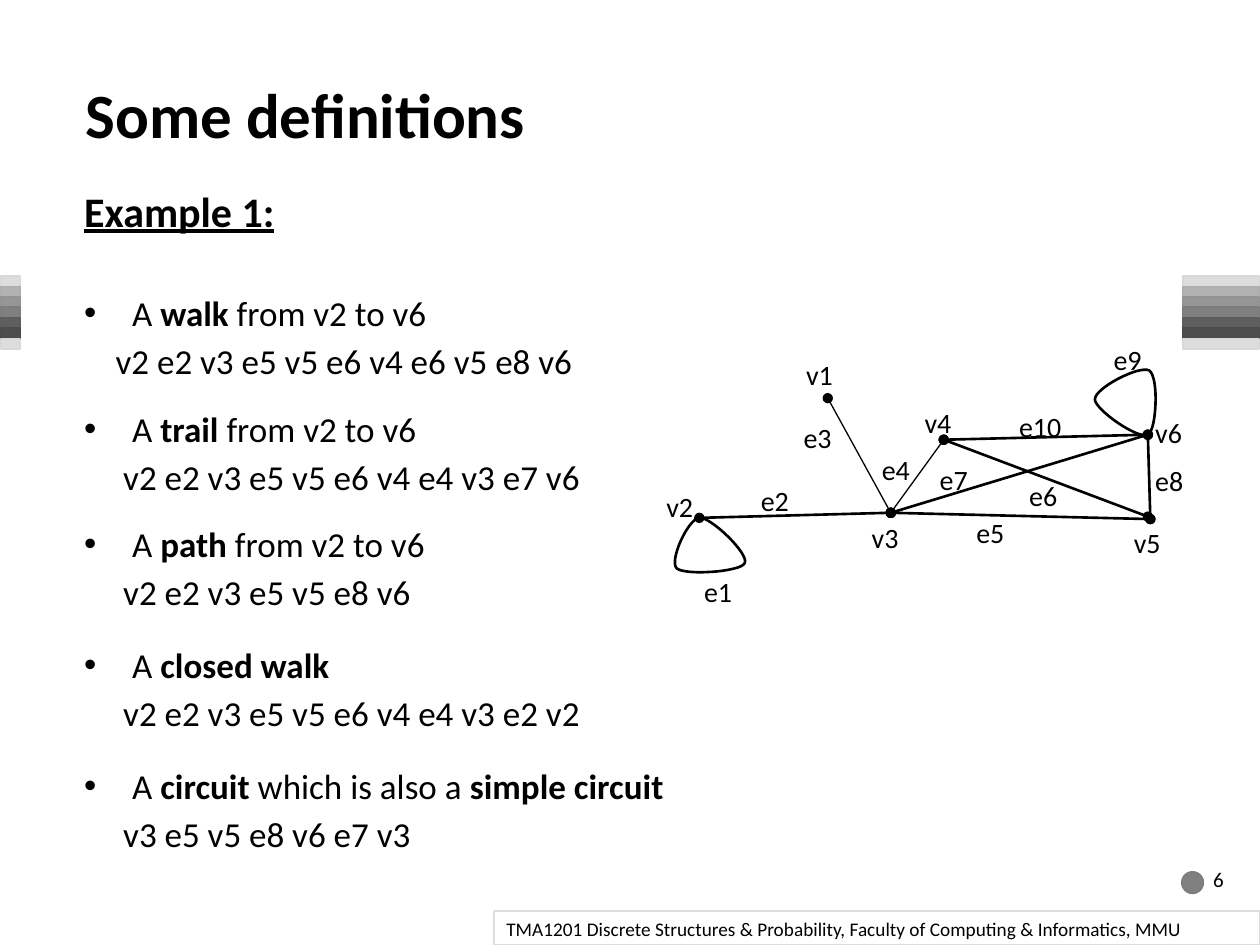
from dataclasses import dataclass

from lxml.etree import SubElement
from pptx import Presentation
from pptx.dml.color import RGBColor
from pptx.enum.shapes import MSO_CONNECTOR, MSO_SHAPE
from pptx.enum.text import MSO_ANCHOR, MSO_AUTO_SIZE, PP_ALIGN
from pptx.oxml.ns import qn
from pptx.util import Inches, Pt

COLUMNS, ROWS = 100, 75
WIDTH, HEIGHT = Inches(10), Inches(7.5)


@dataclass(frozen=True)
class Theme:
    font: str = "Calibri"
    ink: str = "000000"
    paper: str = "FFFFFF"
    dot: str = "808080"
    border: str = "DDDDDD"
    stripes: tuple = ("DDDDDD", "B2B2B2", "969696", "808080", "5F5F5F", "4D4D4D", "DDDDDD")
    title: int = 36
    heading: int = 24
    body: int = 20
    label: int = 16
    number: int = 12
    footer: int = 11
    thin: float = 0.75
    thick: float = 1.5


THEME = Theme()

VERTICES = {
    "v1": (65.7, 31.6), "v2": (55.5, 41.1), "v3": (70.7, 40.7),
    "v4": (74.9, 34.9), "v5": (91.3, 41.2), "v6": (91.1, 34.5),
    "v5 inner": (91.1, 41),
}
EDGES = [
    ("v2", "v3", THEME.thick), ("v1", "v3", THEME.thin), ("v3", "v4", THEME.thin),
    ("v3", "v5", THEME.thick), ("v4", "v5 inner", THEME.thick), ("v3", "v6", THEME.thick),
    ("v6", "v5", THEME.thick), ("v4", "v6", THEME.thick),
]
LOOPS = [
    ("v2", [((54.6, 41.2), (53.1, 44.5), (53.7, 45.1)),
            ((54.3, 45.7), (58.8, 45.4), (59.1, 44.7)),
            ((59.5, 44), (56.4, 41), (55.5, 41.1))]),
    ("v6", [((90.3, 34.9), (86.9, 32.5), (86.9, 31.7)),
            ((86.9, 30.8), (90.4, 29), (91.2, 29.4)),
            ((92, 29.9), (91.8, 34.2), (91.1, 34.5))]),
]
LABELS = {
    "v1": (63, 27.9), "v2": (51.9, 38.4), "v3": (68.2, 40.8),
    "v4": (72.4, 31.7), "v5": (89, 41.2), "v6": (90.7, 32.5),
    "e1": (54.9, 45.1), "e2": (59.4, 37.9), "e3": (62.8, 32.9),
    "e4": (69, 35.4), "e5": (76.5, 40.4), "e6": (80.7, 37.5),
    "e7": (73.6, 36.2), "e8": (90.7, 36.3), "e9": (87.4, 26.7),
    "e10": (79.9, 32),
}
DEFINITIONS = [
    (32, [("A ", False), ("walk", True), (" from v2 to v6", False)],
     2.5, "v2 e2 v3 e5 v5 e6 v4 e6 v5 e8 v6"),
    (14.4, [("A ", False), ("trail", True), (" from v2 to v6", False)],
     3.1, "v2 e2 v3 e5 v5 e6 v4 e4 v3 e7 v6"),
    (14.4, [("A ", False), ("path", True), (" from v2 to v6", False)],
     3.1, "v2 e2 v3 e5 v5 e8 v6"),
    (17.4, [("A ", False), ("closed walk", True)],
     3.1, "v2 e2 v3 e5 v5 e6 v4 e4 v3 e2 v2"),
    (17.4, [("A ", False), ("circuit", True), (" which is also a ", False),
            ("simple circuit", True)],
     3.1, "v3 e5 v5 e8 v6 e7 v3"),
]


def across(columns):
    return round(WIDTH * columns / COLUMNS)


def down(rows):
    return round(HEIGHT * rows / ROWS)


def place(area):
    left, top, width, height = area
    return across(left), down(top), across(width), down(height)


def apply(target, formats):
    for name, value in formats.items():
        setattr(target, name, value)


def add_run(paragraph, text, size, **formats):
    run = paragraph.add_run()
    run.text = text
    apply(run.font, {"name": THEME.font, "size": Pt(size), **formats})
    run.font.color.rgb = RGBColor.from_string(THEME.ink)


def add_text(slide, area, text, size, frame_formats=None, **formats):
    shape = slide.shapes.add_textbox(*place(area))
    apply(shape.text_frame, {"word_wrap": True, **(frame_formats or {})})
    add_run(shape.text_frame.paragraphs[0], text, size, **formats)
    return shape


def add_block(slide, preset, area, fill, line, line_width):
    shape = slide.shapes.add_shape(preset, *place(area))
    shape.shadow.inherit = False
    shape.fill.solid()
    shape.fill.fore_color.rgb = RGBColor.from_string(fill)
    shape.line.color.rgb = RGBColor.from_string(line)
    shape.line.width = Pt(line_width)
    return shape


def darker(colour):
    return "".join(f"{round(part * 0.977):02X}" for part in RGBColor.from_string(colour))


def add_stripes(slide, left, width):
    pitch = 0.83
    for index, colour in enumerate(THEME.stripes):
        area = (left, 21.9 + index * pitch, width, pitch)
        add_block(slide, MSO_SHAPE.RECTANGLE, area, colour, darker(colour), 1)


def indent(paragraph, columns, bullet=None):
    properties = paragraph._p.get_or_add_pPr()
    properties.set("marL", str(across(columns)))
    properties.set("indent", str(-across(columns) if bullet else 0))
    if bullet:
        SubElement(properties, qn("a:buFont")).set("typeface", "Arial")
        SubElement(properties, qn("a:buChar")).set("char", bullet)


def add_definitions(slide):
    frame = add_text(slide, (5.7, 14.2, 48.4, 54.8), "Example 1:", THEME.heading,
                     bold=True, underline=True).text_frame
    for gap, runs, path_indent, walk in DEFINITIONS:
        term = frame.add_paragraph()
        indent(term, 3.8, "•")
        term.space_before = Pt(gap)
        for text, bold in runs:
            add_run(term, text, THEME.body, bold=bold)
        sequence = frame.add_paragraph()
        indent(sequence, path_indent)
        sequence.space_before = Pt(3.6)
        add_run(sequence, walk, THEME.body)


def add_edge(slide, start, end, width):
    (x1, y1), (x2, y2) = VERTICES[start], VERTICES[end]
    edge = slide.shapes.add_connector(MSO_CONNECTOR.STRAIGHT, across(x1), down(y1),
                                      across(x2), down(y2))
    edge.line.color.rgb = RGBColor.from_string(THEME.ink)
    edge.line.width = Pt(width)
    line = edge.line._get_or_add_ln()
    for tag in ("a:headEnd", "a:tailEnd"):
        SubElement(line, qn(tag)).set("type", "oval")
    SubElement(edge._element.spPr, qn("a:effectLst"))


def curve_points(points, steps=16):
    for step in range(1, steps + 1):
        t = step / steps
        weights = ((1 - t) ** 3, 3 * t * (1 - t) ** 2, 3 * t ** 2 * (1 - t), t ** 3)
        x, y = (sum(w * value for w, value in zip(weights, axis)) for axis in zip(*points))
        yield across(x), down(y)


def add_loop(slide, vertex, curves):
    start = VERTICES[vertex]
    builder = slide.shapes.build_freeform(across(start[0]), down(start[1]))
    for curve in curves:
        builder.add_line_segments(list(curve_points((start, *curve))), close=False)
        start = curve[-1]
    builder.add_line_segments([], close=True)
    shape = builder.convert_to_shape()
    shape.shadow.inherit = False
    shape.fill.background()
    shape.line.color.rgb = RGBColor.from_string(THEME.ink)
    shape.line.width = Pt(THEME.thick)


def add_graph(slide):
    for vertex, curves in LOOPS:
        add_loop(slide, vertex, curves)
    for edge in EDGES:
        add_edge(slide, *edge)
    for text, (left, top) in LABELS.items():
        width = 4.6 if len(text) == 2 else 7
        add_text(slide, (left, top, width, 3.7), text, THEME.label,
                 {"auto_size": MSO_AUTO_SIZE.SHAPE_TO_FIT_TEXT})


def add_footer(slide):
    add_block(slide, MSO_SHAPE.OVAL, (93.8, 69.2, 1.7, 1.7), THEME.dot, darker(THEME.dot), 1)
    add_text(slide, (95.3, 67.3, 4.7, 5), "6", THEME.number,
             {"vertical_anchor": MSO_ANCHOR.MIDDLE})
    footer = add_block(slide, MSO_SHAPE.RECTANGLE, (39.2, 72.3, 60.8, 2.7),
                       THEME.paper, THEME.border, 0.75)
    footer.text_frame.vertical_anchor = MSO_ANCHOR.TOP
    paragraph = footer.text_frame.paragraphs[0]
    paragraph.alignment = PP_ALIGN.LEFT
    add_run(paragraph, "TMA1201 Discrete Structures & Probability, "
            "Faculty of Computing & Informatics, MMU", THEME.footer)


def main():
    presentation = Presentation()
    apply(presentation, {"slide_width": WIDTH, "slide_height": HEIGHT})
    slide = presentation.slides.add_slide(presentation.slide_layouts[6])
    for left, width in ((0.1, 1.5), (93.9, 6)):
        add_stripes(slide, left, width)
    add_text(slide, (5.8, 0, 84.2, 12.5), "Some definitions", THEME.title,
             {"vertical_anchor": MSO_ANCHOR.BOTTOM}, bold=True)
    add_definitions(slide)
    add_graph(slide)
    add_footer(slide)
    presentation.save("out.pptx")


if __name__ == "__main__":
    main()
